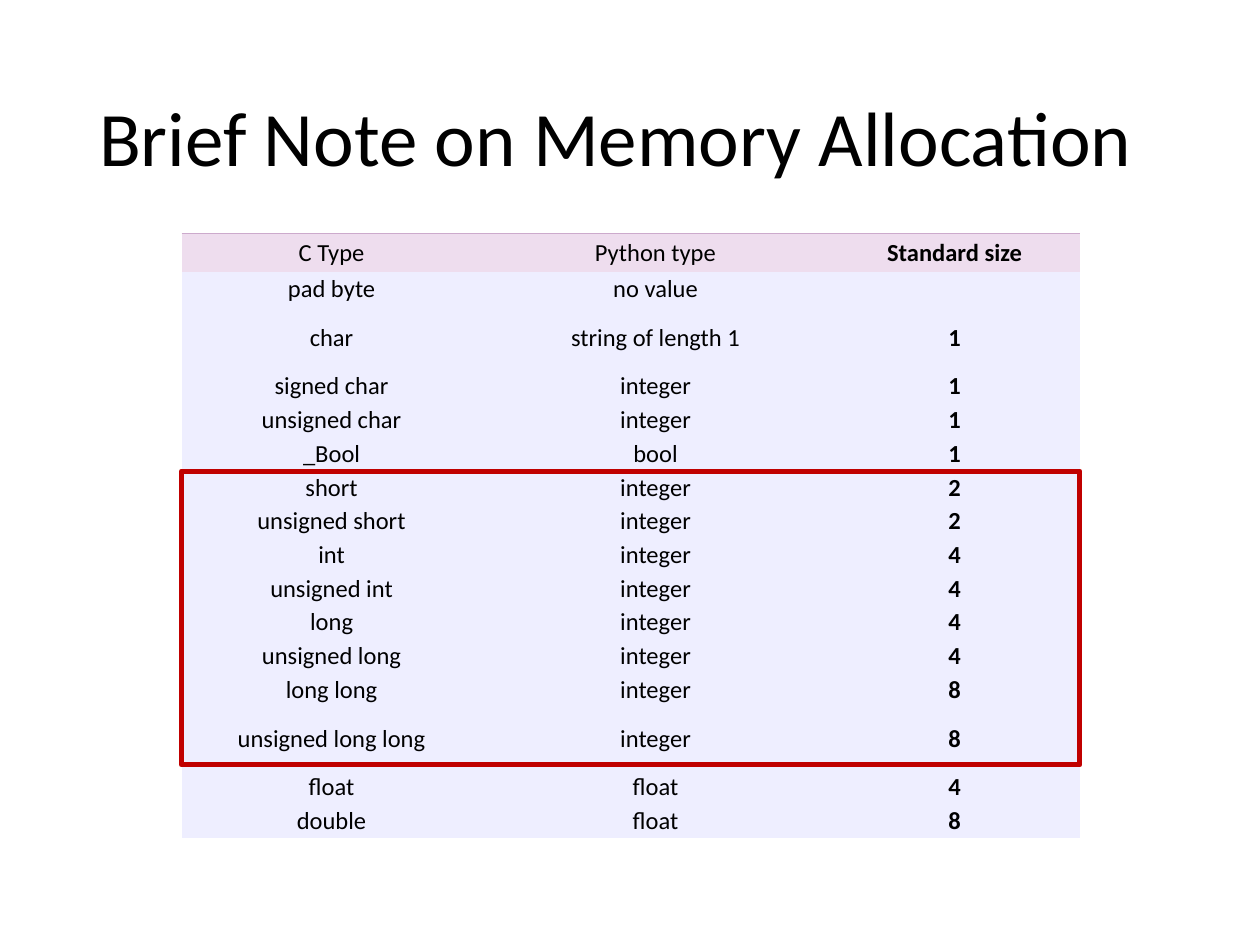
from dataclasses import dataclass

from lxml.etree import SubElement
from pptx import Presentation
from pptx.dml.color import RGBColor as Color
from pptx.enum.shapes import MSO_SHAPE as Shape
from pptx.enum.text import MSO_ANCHOR as Anchor, PP_ALIGN as Align
from pptx.oxml.ns import qn
from pptx.util import Cm, Pt


@dataclass(frozen=True)
class Theme:
    font: str = "Calibri"
    title_size: int = 44
    table_size: int = 14
    text: str = "000000"
    header_fill: str = "EEDDEE"
    body_fill: str = "EEEEFF"
    header_line: str = "CCAACC"
    highlight: str = "C00000"
    plain_table_style: str = "{2D5ABB26-0587-4C30-8999-92F81FD0307C}"


HEADER = ("C Type", "Python type", "Standard size")
TYPES = [
    ("pad byte", "no value", ""),
    ("char", "string of length 1", "1"),
    ("signed char", "integer", "1"),
    ("unsigned char", "integer", "1"),
    ("_Bool", "bool", "1"),
    ("short", "integer", "2"),
    ("unsigned short", "integer", "2"),
    ("int", "integer", "4"),
    ("unsigned int", "integer", "4"),
    ("long", "integer", "4"),
    ("unsigned long", "integer", "4"),
    ("long long", "integer", "8"),
    ("unsigned long long", "integer", "8"),
    ("float", "float", "4"),
    ("double", "float", "8"),
]
TALL_TYPES = {"char", "unsigned long long"}

# Lengths in centimetres
TABLE_LEFT, TABLE_TOP = 3.66, 4.7
COLUMN_WIDTHS = (6.05, 7.01, 5.05)
HEADER_HEIGHT, ROW_HEIGHT, TALL_HEIGHT = 0.79, 0.68, 1.28


class SlideBuilder:
    def __init__(self, slide, theme):
        self.slide = slide
        self.theme = theme

    def format_run(self, run, size, bold=False):
        run.font.name = self.theme.font
        run.font.size = Pt(size)
        run.font.bold = bold
        run.font.color.rgb = Color.from_string(self.theme.text)

    def title(self, text, left, top, width, height):
        box = self.slide.shapes.add_textbox(Cm(left), Cm(top), Cm(width), Cm(height))
        frame = box.text_frame
        frame.word_wrap = True
        frame.vertical_anchor = Anchor.MIDDLE
        frame.text = text
        paragraph = frame.paragraphs[0]
        paragraph.line_spacing = 0.9
        self.format_run(paragraph.runs[0], self.theme.title_size)

    def table(self, rows, left, top, widths, heights):
        shape = self.slide.shapes.add_table(
            len(rows), len(widths), Cm(left), Cm(top), Cm(sum(widths)), Cm(sum(heights)))
        table = shape.table
        table.first_row = table.horz_banding = False
        table._tbl.tblPr.find(qn("a:tableStyleId")).text = self.theme.plain_table_style
        for column, width in zip(table.columns, widths):
            column.width = Cm(width)
        for row, height in zip(table.rows, heights):
            row.height = Cm(height)
        for row_index, values in enumerate(rows):
            for column_index, value in enumerate(values):
                is_size = column_index == len(values) - 1
                self.cell(table.cell(row_index, column_index), value,
                          header=row_index == 0, bold=is_size)

    def cell(self, cell, text, header, bold):
        cell.margin_left = cell.margin_right = Cm(0.1)
        cell.margin_top = cell.margin_bottom = Cm(0.04)
        cell.vertical_anchor = Anchor.MIDDLE
        cell.text_frame.text = text
        paragraph = cell.text_frame.paragraphs[0]
        paragraph.alignment = Align.CENTER
        for run in paragraph.runs:
            self.format_run(run, self.theme.table_size, bold)
        if not text:  # keeps the empty cell as low as its row
            SubElement(paragraph._p, qn("a:endParaRPr"), sz=str(self.theme.table_size * 100))
        if header:
            self.top_border(cell)
        cell.fill.solid()
        fill = self.theme.header_fill if header else self.theme.body_fill
        cell.fill.fore_color.rgb = Color.from_string(fill)

    def top_border(self, cell):
        line = SubElement(cell._tc.get_or_add_tcPr(), qn("a:lnT"), w=str(Pt(0.75)))
        solid = SubElement(line, qn("a:solidFill"))
        SubElement(solid, qn("a:srgbClr"), val=self.theme.header_line)

    def frame(self, left, top, width, height):
        shape = self.slide.shapes.add_shape(
            Shape.RECTANGLE, Cm(left), Cm(top), Cm(width), Cm(height))
        shape.shadow.inherit = False
        shape.fill.background()
        shape.line.color.rgb = Color.from_string(self.theme.highlight)
        shape.line.width = Pt(3)


def main():
    presentation = Presentation()
    presentation.slide_width, presentation.slide_height = Cm(25.4), Cm(19.05)
    slide = presentation.slides.add_slide(presentation.slide_layouts[6])
    builder = SlideBuilder(slide, Theme())

    # Title
    builder.title("Brief Note on Memory Allocation", 1.75, 1.02, 21.9, 3.68)

    # Table of types
    heights = [HEADER_HEIGHT] + [
        TALL_HEIGHT if name in TALL_TYPES else ROW_HEIGHT for name, *_ in TYPES]
    builder.table([HEADER] + TYPES, TABLE_LEFT, TABLE_TOP, COLUMN_WIDTHS, heights)

    # Frame around the integer types from short to unsigned long long
    builder.frame(TABLE_LEFT, 9.5, sum(COLUMN_WIDTHS), 5.92)

    presentation.save("out.pptx")


if __name__ == "__main__":
    main()
